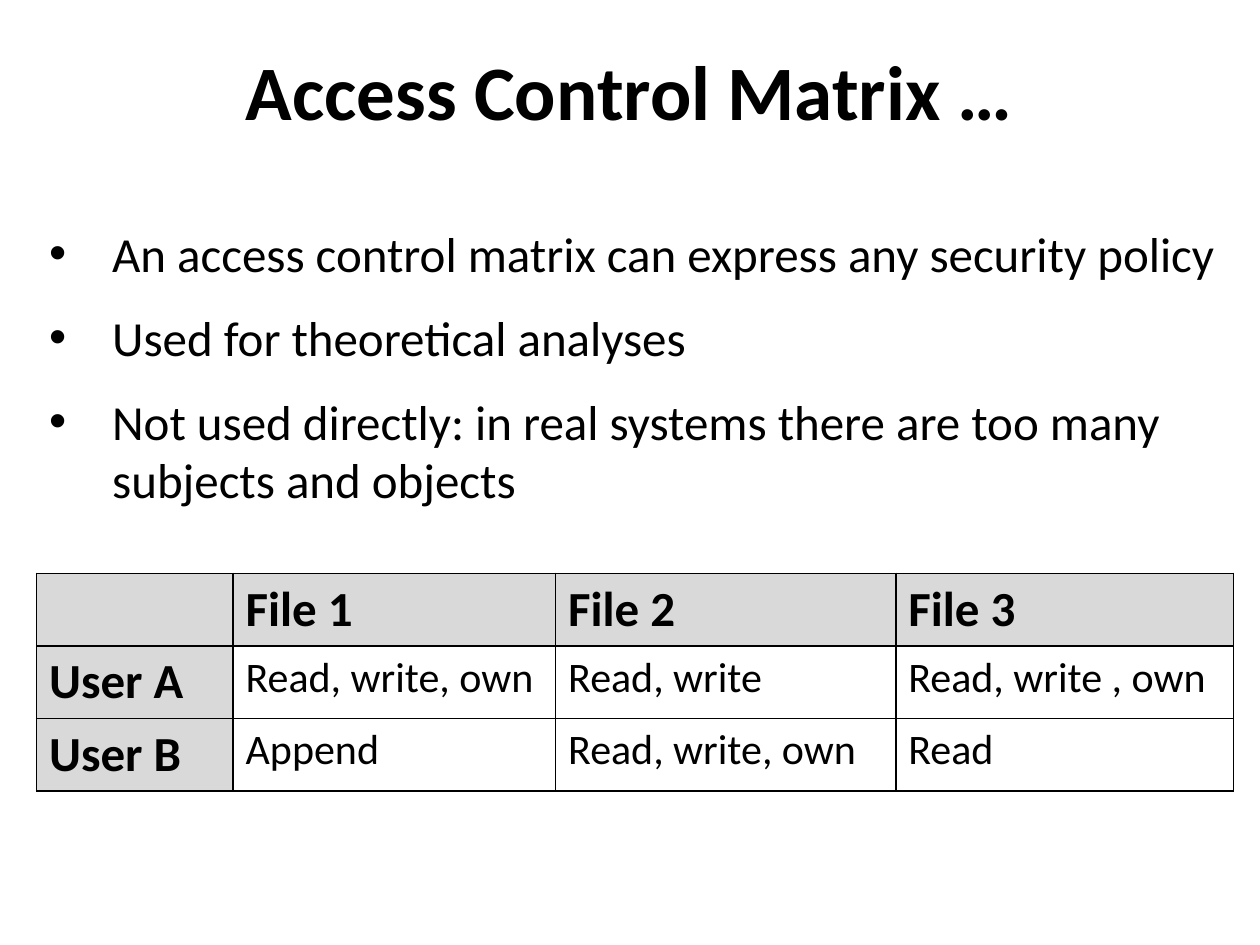
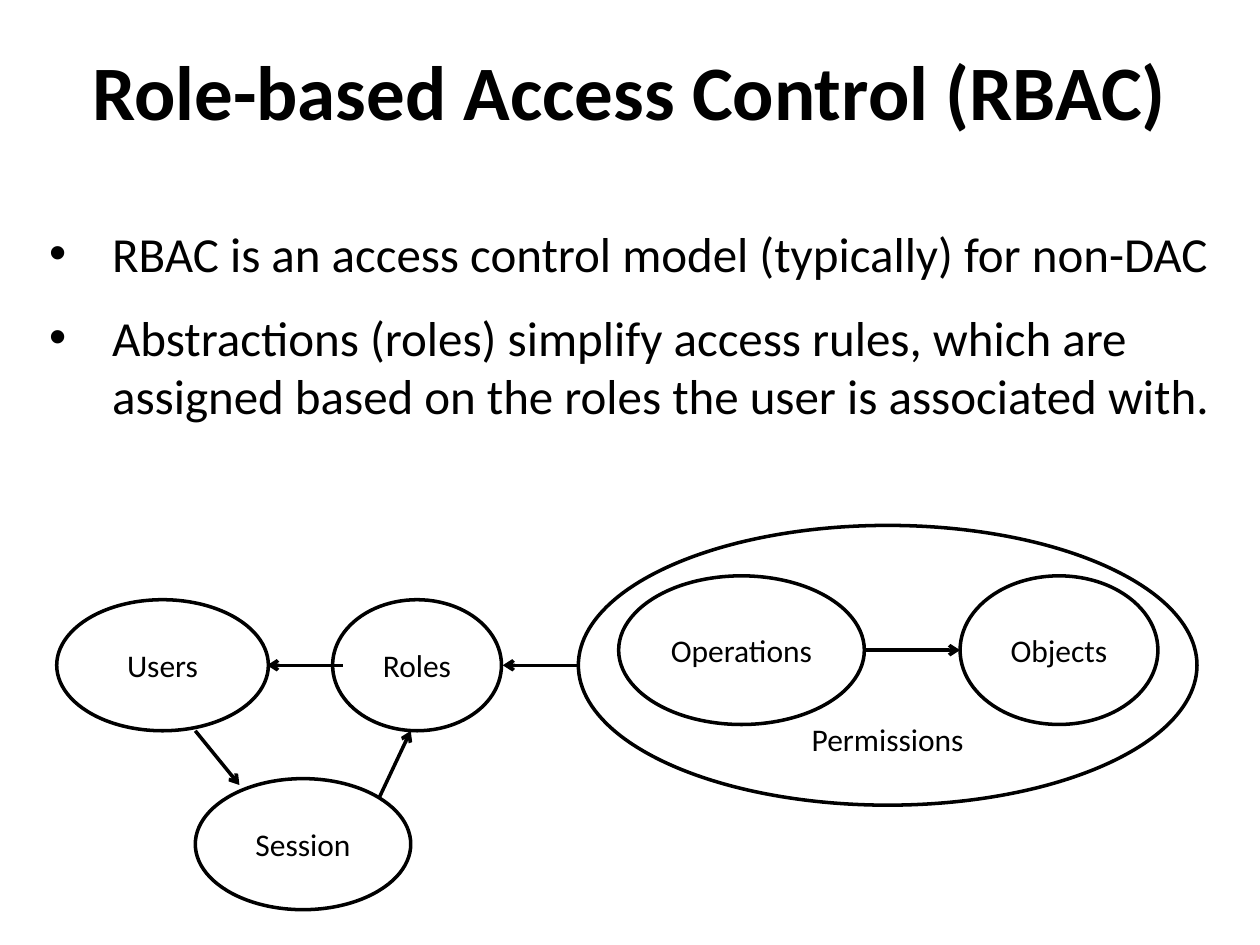
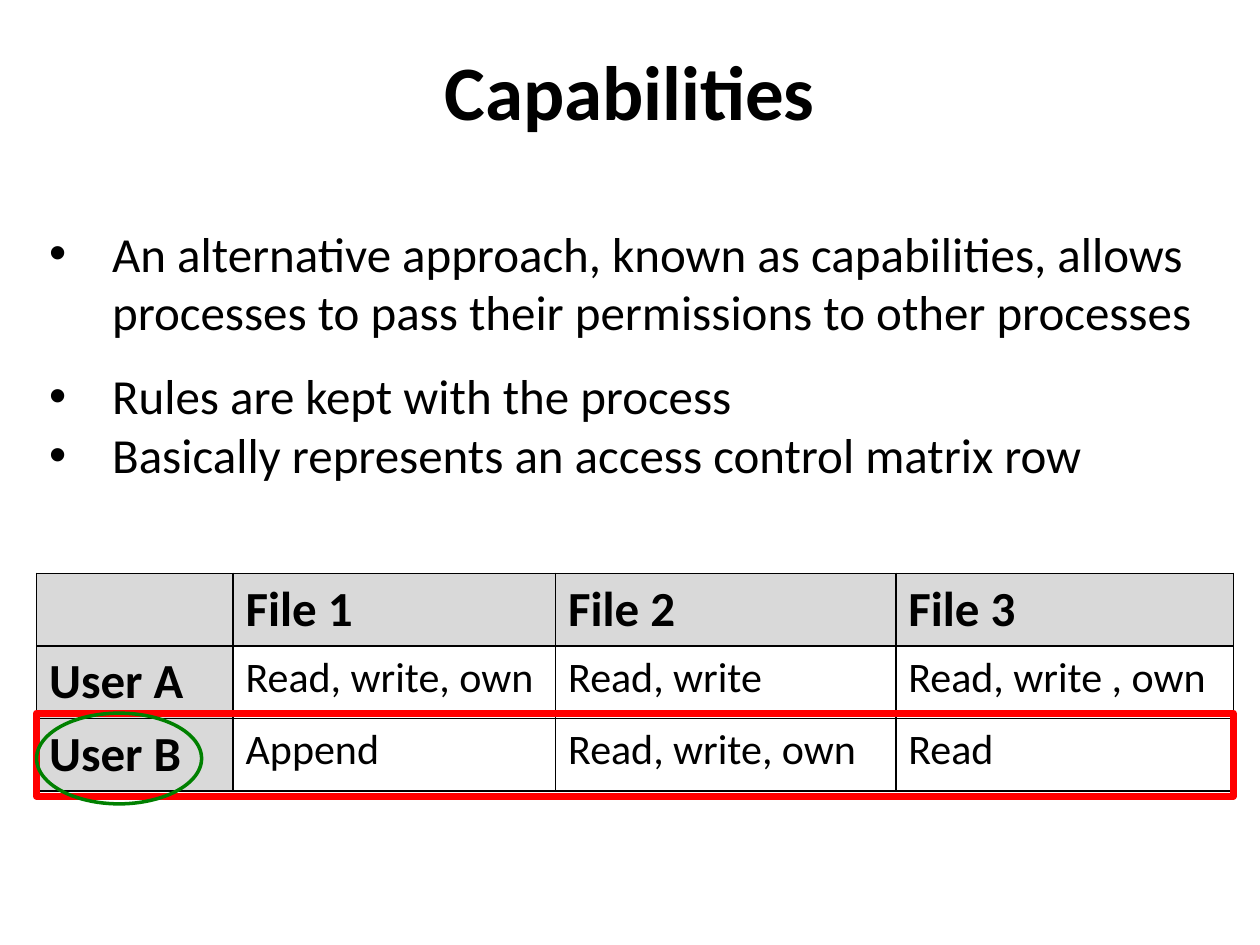
from lxml.etree import SubElement
from pptx import Presentation
from pptx.dml.color import RGBColor
from pptx.enum.shapes import MSO_CONNECTOR as Connector, MSO_SHAPE as Shape
from pptx.enum.text import MSO_ANCHOR as Anchor, MSO_AUTO_SIZE as AutoSize, PP_ALIGN as Align
from pptx.oxml.ns import qn
from pptx.util import Inches, Pt

COLORS = {
    "ink": "000000",
    "header": "D9D9D9",
    "row_mark": "FF0000",
    "user_mark": "008000",
}
WIDTH, HEIGHT = Inches(10), Inches(7.5)
COLUMN, ROW = WIDTH / 100, HEIGHT / 75
TITLE_AREA = (5, 0.9, 90, 12.5)
TABLE_AREA = (2.9, 45.5, 95, 17)
TABLE_COLUMNS = (15.6, 25.6, 27, 26.8)
BULLET_GAP = 14.4

TITLE_FONT = {"size": Pt(44), "bold": True}
BULLET_FONT = {"size": Pt(28), "bold": False}
HEADER_FONT = {"size": Pt(28), "bold": True}
CELL_FONT = {"size": Pt(24), "bold": False}
LABEL_FONT = {"size": Pt(18), "bold": False}

MATRIX = (
    ("", "File 1", "File 2", "File 3"),
    ("User A", "Read, write, own", "Read, write", "Read, write , own"),
    ("User B", "Append", "Read, write, own", "Read"),
)
ELLIPSES = (
    ("Operations", (49.1, 45.7, 19.5, 11.8), Anchor.MIDDLE),
    ("Objects", (76.2, 45.7, 15.7, 11.8), Anchor.MIDDLE),
    ("Permissions", (45.9, 41.7, 49.1, 22.2), Anchor.BOTTOM),
    ("Roles", (26.4, 47.6, 13.4, 10.4), Anchor.MIDDLE),
    ("Users", (4.5, 47.6, 16.8, 10.4), Anchor.MIDDLE),
    ("Session", (15.5, 61.8, 17.1, 10.4), Anchor.MIDDLE),
)
ARROWS = (
    ((68.6, 51.6), (76.2, 51.6)),
    ((45.9, 52.8), (39.9, 52.8)),
    ((27.2, 52.8), (21.2, 52.8)),
    ((15.5, 58), (19, 62.3)),
    ((30.1, 63.3), (32.6, 58)),
)


def color(name):
    return RGBColor.from_string(COLORS[name])


def on_grid(left, top, width, height):
    return [round(length) for length in (left * COLUMN, top * ROW, width * COLUMN, height * ROW)]


def set_values(target, values):
    for name, value in values.items():
        setattr(target, name, value)


def place(shape, area):
    set_values(shape, dict(zip(("left", "top", "width", "height"), on_grid(*area))))


def format_font(paragraph, values):
    set_values(paragraph.font, {"name": "Calibri", **values})
    paragraph.font.color.rgb = color("ink")


def add_slide(presentation, title, body_height, bullets):
    slide = presentation.slides.add_slide(presentation.slide_layouts[1])
    heading, body = slide.placeholders
    place(heading, TITLE_AREA)
    heading.text_frame.text = title
    set_values(heading.text_frame, {"auto_size": AutoSize.NONE, "vertical_anchor": Anchor.MIDDLE})
    heading.text_frame.paragraphs[0].alignment = Align.CENTER
    format_font(heading.text_frame.paragraphs[0], TITLE_FONT)
    place(body, (2.9, 15.2, 95, body_height))
    add_bullets(body.text_frame, bullets)
    return slide


def add_bullets(frame, bullets):
    set_values(frame, {"auto_size": AutoSize.NONE, "margin_top": Inches(0.25)})
    frame.text = "\n".join(text for text, gap in bullets)
    for paragraph, (text, gap) in zip(frame.paragraphs, bullets):
        properties = paragraph._p.get_or_add_pPr()
        properties.set("marL", str(Inches(0.5)))
        properties.set("indent", str(-Inches(0.5)))
        paragraph.space_before = Pt(gap)
        SubElement(properties, qn("a:buChar"), char="•")
        format_font(paragraph, BULLET_FONT)


def add_borders(cell):
    properties = cell._tc.get_or_add_tcPr()
    for side in ("lnL", "lnR", "lnT", "lnB"):
        line = SubElement(properties, qn(f"a:{side}"), w=str(Pt(1)))
        fill = SubElement(line, qn("a:solidFill"))
        SubElement(fill, qn("a:srgbClr"), val=COLORS["ink"])


def add_matrix(slide):
    table = slide.shapes.add_table(len(MATRIX), len(TABLE_COLUMNS), *on_grid(*TABLE_AREA)).table
    set_values(table, {"first_row": False, "horz_banding": False})
    for column, width in zip(table.columns, TABLE_COLUMNS):
        column.width = round(width * COLUMN)
    for row_index, row in enumerate(MATRIX):
        for column_index, text in enumerate(row):
            cell = table.cell(row_index, column_index)
            is_header = row_index == 0 or column_index == 0
            cell.text = text
            format_font(cell.text_frame.paragraphs[0], HEADER_FONT if is_header else CELL_FONT)
            add_borders(cell)
            if is_header:
                cell.fill.solid()
                cell.fill.fore_color.rgb = color("header")
            else:
                cell.fill.background()


def add_outline(slide, kind, area, line_color, line_width):
    shape = slide.shapes.add_shape(kind, *on_grid(*area))
    shape.shadow.inherit = False
    shape.fill.background()
    shape.line.color.rgb = color(line_color)
    shape.line.width = Pt(line_width)
    return shape


def add_ellipse(slide, label, area, anchor):
    frame = add_outline(slide, Shape.OVAL, area, "ink", 2).text_frame
    frame.text = label
    set_values(frame, {"word_wrap": True, "vertical_anchor": anchor})
    frame.paragraphs[0].alignment = Align.CENTER
    format_font(frame.paragraphs[0], LABEL_FONT)


def add_arrow(slide, start, end):
    arrow = slide.shapes.add_connector(Connector.STRAIGHT, *on_grid(*start, *end))
    arrow.line.color.rgb = color("ink")
    arrow.line.width = Pt(2)
    SubElement(arrow.line._get_or_add_ln(), qn("a:tailEnd"), type="arrow")
    SubElement(arrow._element.spPr, qn("a:effectLst"))


def main():
    presentation = Presentation()
    set_values(presentation, {"slide_width": WIDTH, "slide_height": HEIGHT})

    matrix_slide = add_slide(presentation, "Access Control Matrix …", 27.9, (
        ("An access control matrix can express any security policy", 0),
        ("Used for theoretical analyses", BULLET_GAP),
        ("Not used directly: in real systems there are too many subjects and objects", BULLET_GAP),
    ))
    add_matrix(matrix_slide)

    roles_slide = add_slide(presentation, "Role-based Access Control (RBAC)", 21.2, (
        ("RBAC is an access control model (typically) for non-DAC", 0),
        ("Abstractions (roles) simplify access rules, which are assigned based on "
         "the roles the user is associated with.", BULLET_GAP),
    ))
    for ellipse in ELLIPSES:
        add_ellipse(roles_slide, *ellipse)
    for arrow in ARROWS:
        add_arrow(roles_slide, *arrow)

    capabilities_slide = add_slide(presentation, "Capabilities", 25.9, (
        ("An alternative approach, known as capabilities, allows processes to pass "
         "their permissions to other processes", 0),
        ("Rules are kept with the process", BULLET_GAP),
        ("Basically represents an access control matrix row", 0),
    ))
    add_matrix(capabilities_slide)
    add_outline(capabilities_slide, Shape.RECTANGLE, (2.9, 56.6, 95, 6.6), "row_mark", 4)
    add_outline(capabilities_slide, Shape.OVAL, (2.9, 56.6, 13.1, 7.2), "user_mark", 2)

    presentation.save("out.pptx")


if __name__ == "__main__":
    main()
